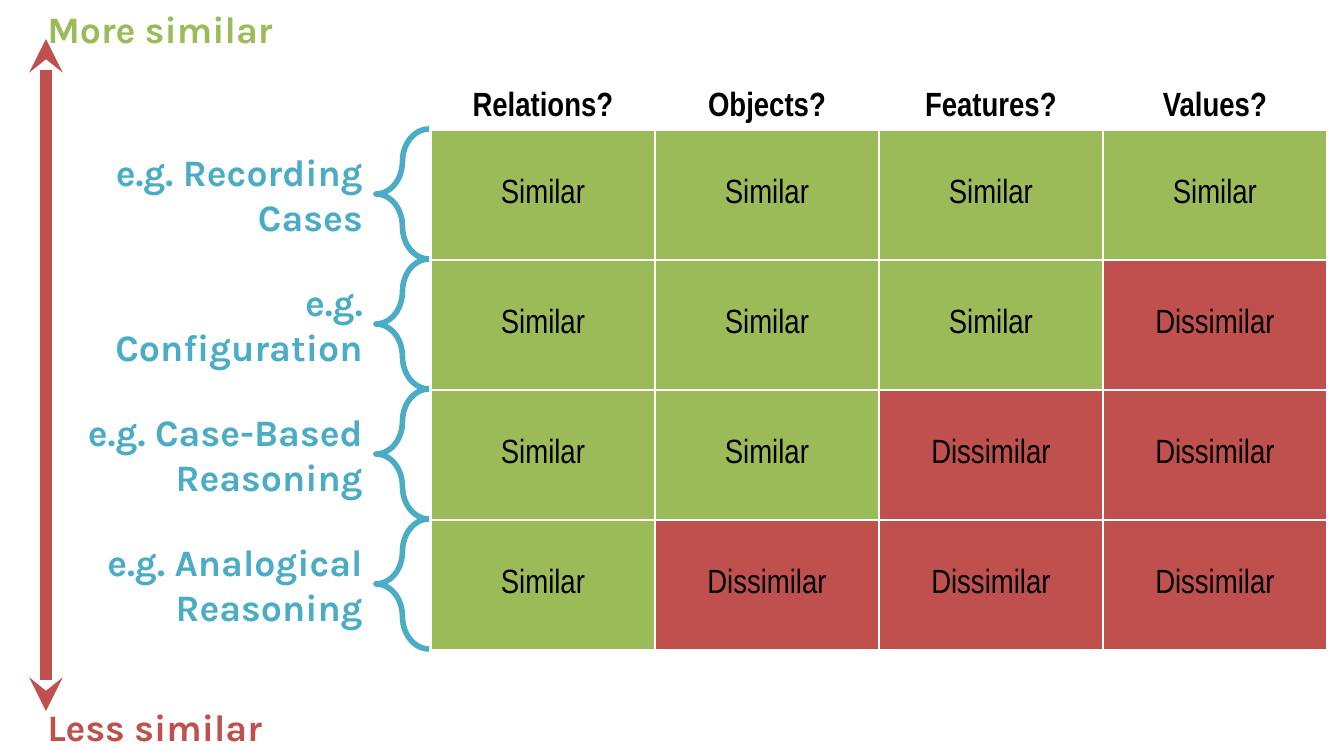
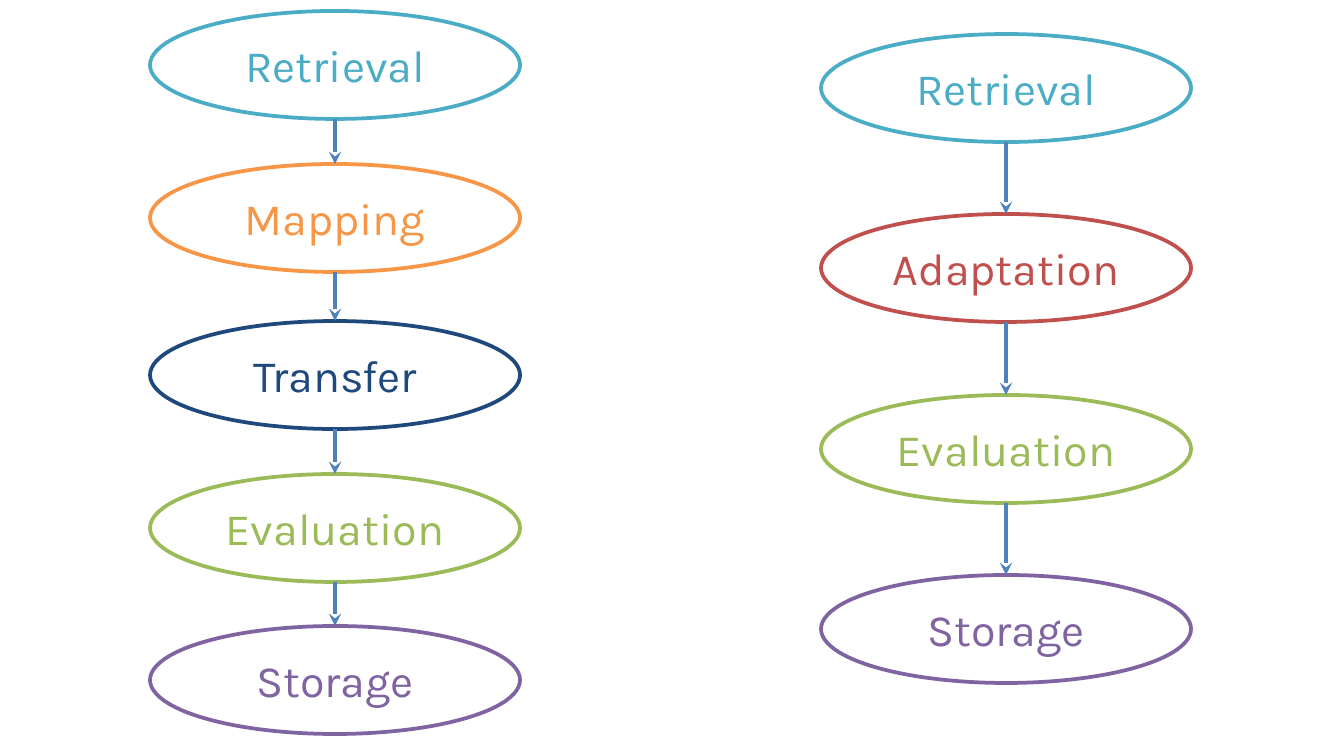
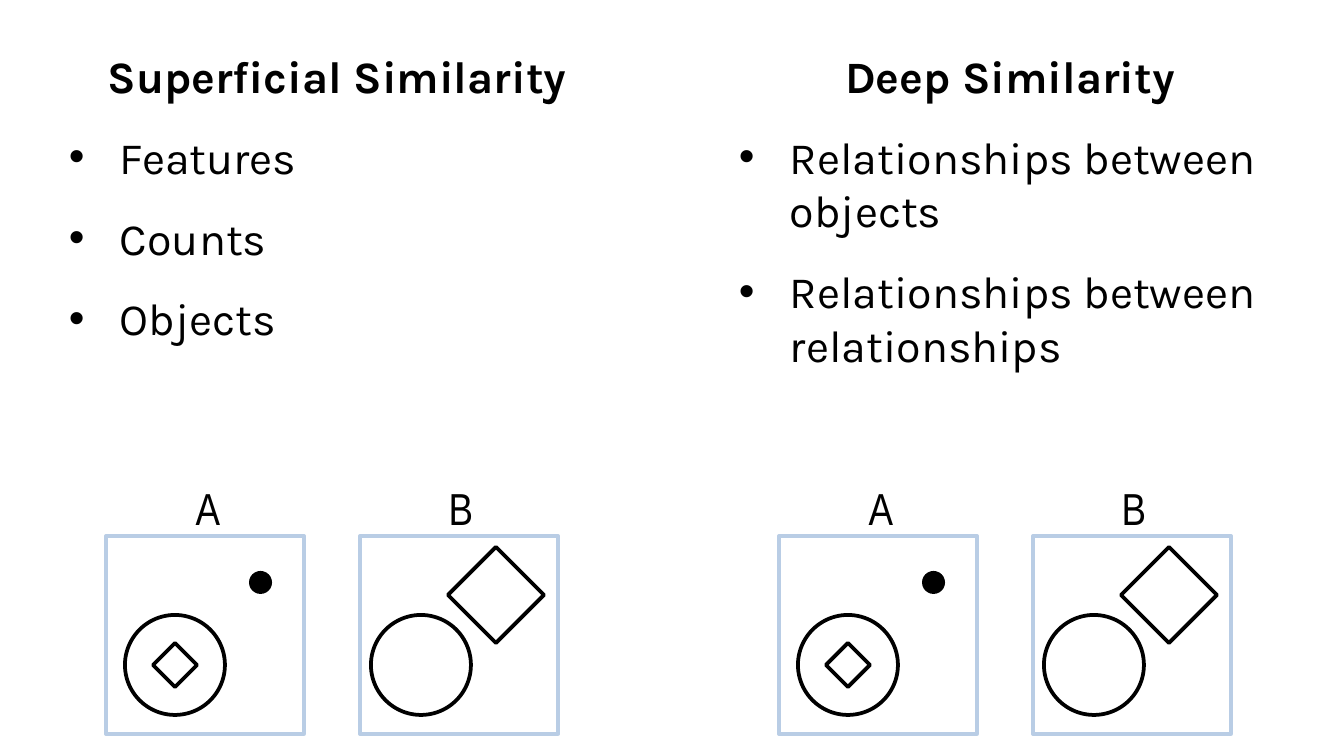
from lxml import etree
from pptx import Presentation
from pptx.dml.color import RGBColor
from pptx.enum import shapes, text
from pptx.oxml import ns
from pptx.util import Pt

SCALE = 914400 / 134.4
GREEN, RED, TEAL, PURPLE = "9BBB59", "C0504D", "4BACC6", "8064A2"
ORANGE, NAVY, BLUE, PALE = "F79646", "1F497D", "4F81BD", "B9CDE5"
BLACK, WHITE = "000000", "FFFFFF"
MARGINS = ("margin_left", "margin_top", "margin_right", "margin_bottom")

hue = RGBColor.from_string
kinds = shapes.MSO_SHAPE
align = text.PP_ALIGN
anchor = text.MSO_ANCHOR


def draw(slide, kind, box, fill=None, line=None, width=2):
    place = [round(n * SCALE) for n in box]
    if kind is None:
        return slide.shapes.add_textbox(*place)
    shape = slide.shapes.add_shape(kind, *place)
    shape.shadow.inherit = False
    for part, colour in ((shape.fill, fill), (shape.line.fill, line)):
        if colour:
            part.solid()
            part.fore_color.rgb = hue(colour)
        else:
            part.background()
    if line:
        shape.line.width = Pt(width)
    return shape


def write(paragraph, words, colour, size, name="Karla", bold=False, side=align.LEFT):
    paragraph.alignment = side
    run = paragraph.add_run()
    run.text = words
    run.font.color.rgb = hue(colour)
    for key, value in {"size": Pt(size), "name": name, "bold": bold}.items():
        setattr(run.font, key, value)


deck = Presentation()
deck.slide_width, deck.slide_height = round(1344 * SCALE), round(756 * SCALE)
spectrum, processes, similarity = [deck.slides.add_slide(deck.slide_layouts[6]) for _ in range(3)]
arrows = [(spectrum, 46, 39, 711, RED, 6, ("headEnd", "tailEnd"))]

for words, top, width, colour in (("More similar", 0, 266, GREEN), ("Less similar", 698, 246, RED)):
    extreme = draw(spectrum, None, (34, top, width, 59)).text_frame
    extreme.word_wrap = False
    extreme.auto_size = text.MSO_AUTO_SIZE.SHAPE_TO_FIT_TEXT
    write(extreme.paragraphs[0], words, colour, 20, bold=True)

ROW, COLUMN = 130, 224
questions = ["Relations?", "Objects?", "Features?", "Values?"]
grid_place = [round(n * SCALE) for n in (431, 0, 4 * COLUMN, 5 * ROW)]
grid = spectrum.shapes.add_table(5, 4, *grid_place).table
grid.first_row = grid.horz_banding = False
for row in range(5):
    for column, question in enumerate(questions):
        cell = grid.cell(row, column)
        if row == 0:
            cell.fill.background()
            cell.vertical_anchor = anchor.BOTTOM
            words = question
        else:
            alike = row + column <= 4
            words = "Similar" if alike else "Dissimilar"
            cell.vertical_anchor = anchor.MIDDLE
            borders = {"lnL": column > 0, "lnR": column < 3, "lnT": row > 1, "lnB": row < 4}
            for tag, shown in borders.items():
                if shown:
                    edge = etree.SubElement(cell._tc.get_or_add_tcPr(), ns.qn(f"a:{tag}"), w="12700")
                    solid = etree.SubElement(edge, ns.qn("a:solidFill"))
                    etree.SubElement(solid, ns.qn("a:srgbClr"), val=WHITE)
            cell.fill.solid()
            cell.fill.fore_color.rgb = hue(GREEN if alike else RED)
        write(cell.text_frame.paragraphs[0], words, BLACK, 18, "Arial Narrow", row == 0, align.CENTER)

examples = ["Recording Cases", "Configuration", "Case-Based Reasoning", "Analogical Reasoning"]
for index, example in enumerate(examples):
    top = 129 + index * ROW
    brace = draw(spectrum, kinds.LEFT_BRACE, (376, top, 53, ROW), line=TEAL, width=3)
    brace.adjustments[0] = 0.62
    label = draw(spectrum, None, (46, top, 330, ROW)).text_frame
    label.word_wrap = True
    label.vertical_anchor = anchor.MIDDLE
    write(label.paragraphs[0], f"e.g. {example}", TEAL, 20, bold=True, side=align.RIGHT)

STEP_WIDTH, STEP_HEIGHT = 370, 108
analogical = [("Retrieval", TEAL, 11), ("Mapping", ORANGE, 164), ("Transfer", NAVY, 321),
              ("Evaluation", GREEN, 474), ("Storage", PURPLE, 626)]
case_based = [("Retrieval", TEAL, 34), ("Adaptation", RED, 214),
              ("Evaluation", GREEN, 395), ("Storage", PURPLE, 575)]
for left, steps in ((150, analogical), (821, case_based)):
    for words, colour, top in steps:
        step = draw(processes, kinds.OVAL, (left, top, STEP_WIDTH, STEP_HEIGHT), WHITE, colour).text_frame
        for margin in MARGINS:
            setattr(step, margin, 0)
        step.vertical_anchor = anchor.MIDDLE
        write(step.paragraphs[0], words, colour, 24, side=align.CENTER)
    for (_, _, above), (_, _, below) in zip(steps, steps[1:]):
        arrows.append((processes, left + STEP_WIDTH // 2, above + STEP_HEIGHT, below, BLUE, 2.25, ("tailEnd",)))

HANG = round(51 * SCALE)
columns = [
    (69, 536, 0, "Superficial Similarity", ["Features", "Counts", "Objects"]),
    (739, 542, 673, "Deep Similarity",
     ["Relationships between objects", "Relationships between relationships"]),
]
figures = [
    (kinds.RECTANGLE, (106, 536, 198, 198), None, PALE),
    (kinds.RECTANGLE, (360, 536, 198, 198), None, PALE),
    (kinds.OVAL, (125, 615, 100, 100), WHITE, BLACK),
    (kinds.DIAMOND, (153, 643, 44, 44), WHITE, BLACK),
    (kinds.OVAL, (249, 571, 23, 23), BLACK, None),
    (kinds.OVAL, (371, 615, 100, 100), WHITE, BLACK),
    (kinds.DIAMOND, (448, 547, 96, 96), WHITE, BLACK),
]
for left, width, shift, heading, points in columns:
    column = draw(similarity, None, (left, 42, width, 714)).text_frame
    column.word_wrap = True
    column.margin_left = column.margin_right = 0
    write(column.paragraphs[0], heading, BLACK, 24, bold=True, side=align.CENTER)
    for point in points:
        item = column.add_paragraph()
        item.space_before = Pt(14.5)
        write(item, point, BLACK, 24)
        properties = item._p.get_or_add_pPr()
        properties.set("marL", str(HANG))
        properties.set("indent", str(-HANG))
        etree.SubElement(properties, ns.qn("a:buFont"), typeface="Arial")
        etree.SubElement(properties, ns.qn("a:buChar"), char="•")
    for kind, (x, y, w, h), fill, line in figures:
        draw(similarity, kind, (x + shift, y, w, h), fill, line)
    for letter, x in (("A", 109), ("B", 362)):
        caption = draw(similarity, None, (x + shift, 480, 198, 54)).text_frame
        for margin in MARGINS:
            setattr(caption, margin, 0)
        caption.word_wrap = True
        caption.auto_size = text.MSO_AUTO_SIZE.SHAPE_TO_FIT_TEXT
        caption.vertical_anchor = anchor.BOTTOM
        write(caption.paragraphs[0], letter, BLACK, 24, "Arial Narrow", side=align.CENTER)

for slide, x, start, end, colour, width, tips in arrows:
    ends = [round(n * SCALE) for n in (x, start, x, end)]
    arrow = slide.shapes.add_connector(shapes.MSO_CONNECTOR.STRAIGHT, *ends)
    arrow.line.color.rgb = hue(colour)
    arrow.line.width = Pt(width)
    for tip in tips:
        etree.SubElement(arrow.line._get_or_add_ln(), ns.qn(f"a:{tip}"), type="stealth")
    etree.SubElement(arrow._element.spPr, ns.qn("a:effectLst"))

deck.save("out.pptx")
